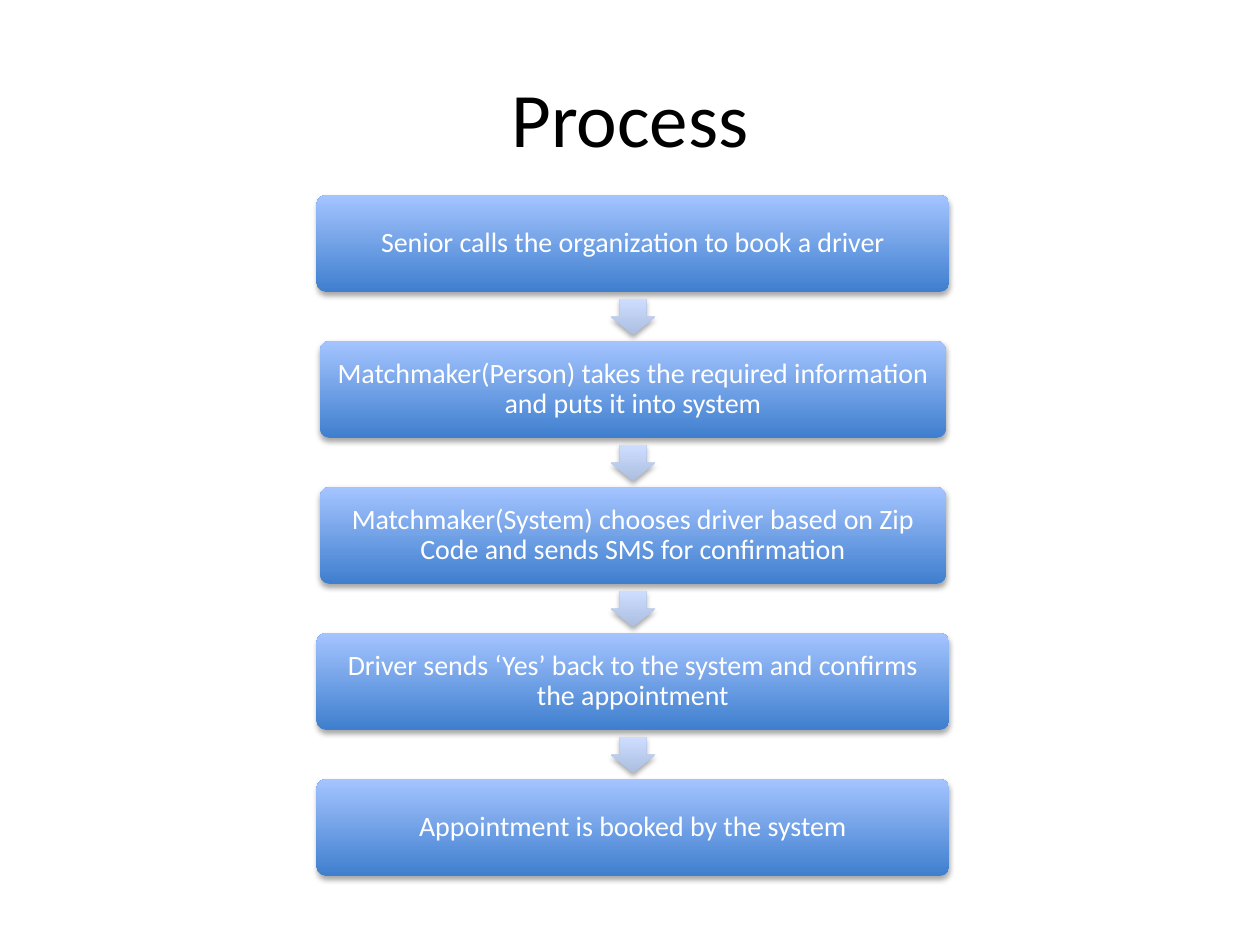
from dataclasses import dataclass

from lxml import etree
from pptx import Presentation
from pptx.dml.color import RGBColor
from pptx.enum.shapes import MSO_SHAPE
from pptx.enum.text import MSO_ANCHOR, PP_ALIGN
from pptx.oxml.ns import qn
from pptx.util import Emu, Pt

ROUNDED = MSO_SHAPE.ROUNDED_RECTANGLE
ARROW = MSO_SHAPE.RIGHT_ARROW
MIDDLE = MSO_ANCHOR.MIDDLE
CENTER = PP_ALIGN.CENTER

PX_PER_INCH = 126
PAGE_WIDTH, PAGE_HEIGHT = 1260, 945
CENTER_X = 633
FIRST_TOP, STEP_PITCH, STEP_HEIGHT = 195, 146, 97
WIDE, NARROW = 633, 626
ARROW_LENGTH, ARROW_BREADTH = 36, 44
ARROW_OFFSET = 122  # from the top of a step to the middle of its arrow

STEPS = [
    ("Senior calls the organization to book a driver", WIDE),
    ("Matchmaker(Person) takes the required information and puts it into system", NARROW),
    ("Matchmaker(System) chooses driver based on Zip Code and sends SMS for confirmation", NARROW),
    ("Driver sends ‘Yes’ back to the system and confirms the appointment", WIDE),
    ("Appointment is booked by the system", WIDE),
]


@dataclass(frozen=True)
class Theme:
    font: str = "Calibri"
    title_size: int = 44
    step_size: int = 16
    title_color: str = "000000"
    step_color: str = "FFFFFF"
    step_fill: tuple = ("3F7FCE", "A4C4FF")
    arrow_fill: tuple = ("ADBFE1", "CCDDFF")
    shadow_color: str = "000000"


def px(length):
    return Emu(round(length * 914400 / PX_PER_INCH))


class SlideBuilder:
    def __init__(self, page, theme):
        self.page = page
        self.theme = theme

    def add_text(self, frame, text, size, color):
        frame.word_wrap = True
        frame.vertical_anchor = MIDDLE
        para = frame.paragraphs[0]
        para.alignment = CENTER
        span = para.add_run()
        span.text = text
        span.font.name = self.theme.font
        span.font.size = Pt(size)
        span.font.color.rgb = RGBColor.from_string(color)
        return para

    def title(self, text, left, top, width, height):
        box = self.page.shapes.title
        box.left, box.top, box.width, box.height = map(px, (left, top, width, height))
        self.add_text(box.text_frame, text, self.theme.title_size, self.theme.title_color)

    def cast_shadow(self, shape):
        """Replace the inherited shadow by a soft one straight below the shape."""
        shape.shadow.inherit = False
        effects = shape._element.spPr.find(qn("a:effectLst"))
        shadow = etree.SubElement(
            effects, qn("a:outerShdw"), blurRad=str(int(Pt(3.1))), dist=str(int(Pt(1.8))),
            dir="5400000", rotWithShape="0")
        color = etree.SubElement(shadow, qn("a:srgbClr"), val=self.theme.shadow_color)
        etree.SubElement(color, qn("a:alpha"), val="35000")

    def gradient_shape(self, kind, left, top, width, height, colors):
        """Add a shape without outline whose colours run from bottom to top."""
        shape = self.page.shapes.add_shape(kind, *map(px, (left, top, width, height)))
        shape.fill.gradient()
        shape.fill.gradient_angle = 90
        for stop, color, position in zip(shape.fill.gradient_stops, colors, (0, 1)):
            stop.color.rgb = RGBColor.from_string(color)
            stop.position = position
        shape.line.fill.background()
        self.cast_shadow(shape)
        return shape

    def step(self, text, top, width):
        box = self.gradient_shape(ROUNDED, CENTER_X - width / 2, top, width,
                                  STEP_HEIGHT, self.theme.step_fill)
        box.adjustments[0] = 0.1
        frame = box.text_frame
        frame.margin_left = frame.margin_right = px(9)
        frame.margin_top = frame.margin_bottom = px(9)
        para = self.add_text(frame, text, self.theme.step_size, self.theme.step_color)
        para.line_spacing = 0.9

    def down_arrow(self, middle):
        arrow = self.gradient_shape(
            ARROW, CENTER_X - ARROW_LENGTH / 2, middle - ARROW_BREADTH / 2,
            ARROW_LENGTH, ARROW_BREADTH, self.theme.arrow_fill)
        arrow.rotation = 90
        arrow.adjustments[0] = 0.6
        arrow.adjustments[1] = 0.5
        arrow._element.spPr.find(qn("a:gradFill")).set("rotWithShape", "0")


def main():
    deck = Presentation()
    deck.slide_width, deck.slide_height = px(PAGE_WIDTH), px(PAGE_HEIGHT)
    page = deck.slides.add_slide(deck.slide_layouts.get_by_name("Title Only"))
    builder = SlideBuilder(page, Theme())

    builder.title("Process", 63, 38, 1134, 157)
    for index, (text, width) in enumerate(STEPS):
        top = FIRST_TOP + index * STEP_PITCH
        builder.step(text, top, width)
        if index < len(STEPS) - 1:
            builder.down_arrow(top + ARROW_OFFSET)

    deck.save("out.pptx")


if __name__ == "__main__":
    main()
